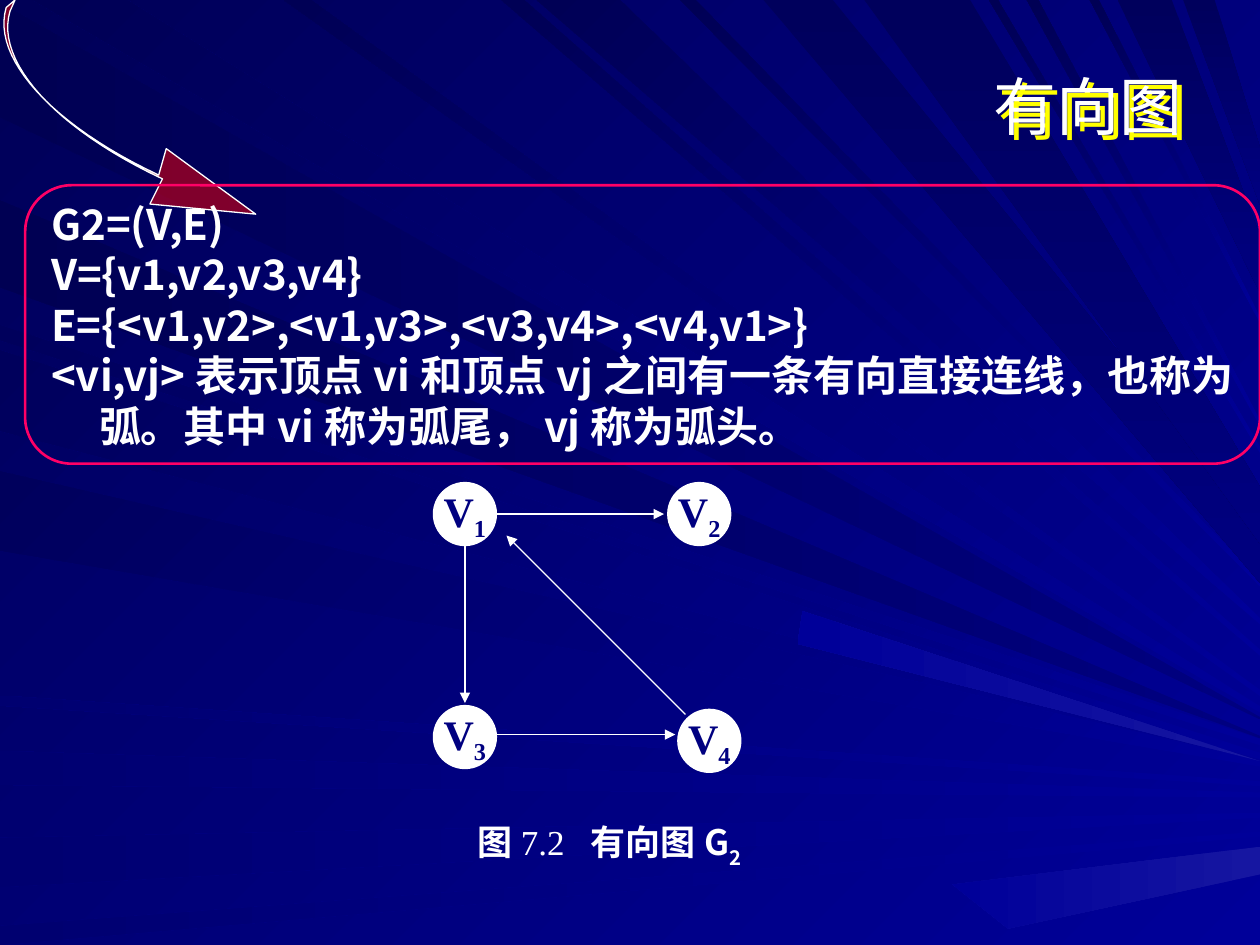
from lxml import etree
from pptx import Presentation, util as u
from pptx.dml.color import RGBColor
from pptx.enum import shapes, text
from pptx.oxml import ns

WIDTH, HEIGHT = 10, 7.5
WHITE, NAVY, BLUE, YELLOW, PINK, RED = "FFFFFF", "000080", "000099", "FFFF00", "FF0066", "FF0000"
SANS, SERIF, TITLE_FONT = "Noto Sans CJK SC", "Times New Roman", "Arial"

BACKDROP = (BLUE, "000057", 225)
RAY_GROUPS = [
    {"edge": "left", "paint": (NAVY, "000053", 180), "spread": 0.02,
     "rays": [(0.02, 0.93, 5.7), (1.59, 2.28, 5.85)]},
    {"edge": "left", "paint": (BLUE, "00005C", 225), "spread": 0.05,
     "rays": [(2.58, 2.7, 5.89), (2.78, 3.42, 6), (3.74, 4.37, 6.06)]},
    {"edge": "left", "paint": (BLUE, "000070", 180), "spread": 0.04,
     "rays": [(5.52, 5.6, 6.22), (5.96, 6.23, 6.31), (6.65, 7.04, 6.47), (7.35, 7.5, 6.62)]},
    {"edge": "top", "paint": (BLUE, "000055", 225), "spread": 0.05,
     "rays": [(0.26, 1.01, 5.63), (2.25, 2.47, 5.5), (3.98, 4.16, 5.18), (4.26, 4.92, 4.93),
              (5.4, 5.52, 4.63), (7.85, 7.92, 3.57), (8.15, 8.24, 3.36), (8.65, 8.72, 2.54)]},
    {"edge": "top", "paint": ("00005C", NAVY, 90), "spread": 0.45,
     "rays": [(6.06, 6.61, 4.4), (6.86, 7.7, 4.09), (8.87, 9.3, 2.1), (9.39, 9.64, 1.4)]},
]
GLOW = ("1616A1", BLUE, 180)
GLOWS = [[(6.37, 4.85), (6.33, 5.11), (10, 6.04)], [(7.56, 7.02), (10, 6.72), (10, 6.94), (8, 7.37)]]
ARROW_CURVE = [(0.08, 0.09), (-0.04, 0.49), (0.44, 1.02), (1.29, 1.42)]
ARROW_HEAD = [(1.19, 1.62), (2.03, 1.7), (1.32, 1.18)]
ARROW_START, ARROW_WIDTH = (0.12, 0), 0.03

TITLE = "有向图"
DEFINITION = [
    "G2=(V,E)",
    "V={v1,v2,v3,v4}",
    "E={<v1,v2>,<v1,v3>,<v3,v4>,<v4,v1>}",
    "<vi,vj>表示顶点vi和顶点vj之间有一条有向直接连线，也称为弧。其中vi称为弧尾，vj称为弧头。",
]
CAPTION = [("图", SERIF, True, 0), ("7.2\t", SERIF, False, 0), ("有向图G", SANS, True, 0), ("2", SANS, True, -30)]
NODE_SIZE = 0.5
NODES = {"1": (3.44, 3.83), "3": (3.44, 5.6), "2": (5.3, 3.83), "4": (5.38, 5.63)}
ARCS = [((3.94, 4.08), (5.27, 4.08)), ((3.69, 4.33), (3.69, 5.58)),
        ((3.94, 5.83), (5.36, 5.83)), ((5.44, 5.67), (4.02, 4.25))]


def color(value):
    return RGBColor.from_string(value)


def add_node(parent, tag, **attributes):
    return etree.SubElement(parent, ns.qn(tag), attributes)


def inches(*values):
    return [u.Inches(value) for value in values]


def paint_gradient(fill, start, end, angle):
    fill.gradient()
    fill.gradient_angle = (360 - angle) % 360
    for stop, value in zip(fill.gradient_stops, (start, end)):
        stop.color.rgb = color(value)


def add_polygon(page, points):
    corners = [tuple(inches(*point)) for point in points]
    builder = page.shapes.build_freeform(*corners[0], scale=1.0)
    builder.add_line_segments(corners[1:], close=True)
    polygon = builder.convert_to_shape()
    polygon.shadow.inherit = False
    return polygon


def add_ray(page, points, paint):
    ray = add_polygon(page, points)
    ray.line.fill.background()
    paint_gradient(ray.fill, *paint)


def bezier(points, steps=24):
    curve = []
    for step in range(steps + 1):
        t = step / steps
        weights = ((1 - t) ** 3, 3 * t * (1 - t) ** 2, 3 * t * t * (1 - t), t ** 3)
        curve.append(tuple(sum(w * p[axis] for w, p in zip(weights, points)) for axis in (0, 1)))
    return curve


def add_span(para, words, size, face, tint=WHITE, bold=False, baseline=0):
    span = para.add_run()
    span.text = words
    span.font.size, span.font.name, span.font.bold = u.Pt(size), face, bold
    span.font.color.rgb = color(tint)
    properties = span._r.get_or_add_rPr()
    add_node(properties, "a:ea", typeface=SANS)
    if baseline:
        properties.set("baseline", str(baseline * 1000))


def set_outline(shape, tint, width):
    shape.line.color.rgb = color(tint)
    shape.line.width = u.Pt(width)


def add_backdrop(page):
    paint_gradient(page.background.fill, *BACKDROP)
    for group in RAY_GROUPS:
        half = group["spread"] / 2
        for near, far, target in group["rays"]:
            base = [(0, far), (0, near)] if group["edge"] == "left" else [(near, 0), (far, 0)]
            add_ray(page, base + [(WIDTH, target - half), (WIDTH, target + half)], group["paint"])
    for points in GLOWS:
        add_ray(page, points, GLOW)


def add_arrow(page):
    outer = bezier(ARROW_CURVE)
    inner = [(x - ARROW_WIDTH, y - ARROW_WIDTH) for x, y in reversed(outer)]
    arrow = add_polygon(page, [ARROW_START] + outer + ARROW_HEAD + inner)
    arrow.fill.solid()
    arrow.fill.fore_color.rgb = color(RED)
    tint = arrow._element.spPr.find(ns.qn("a:solidFill")).find(ns.qn("a:srgbClr"))
    add_node(tint, "a:alpha", val="50000")
    set_outline(arrow, WHITE, 0.75)


def add_title(page):
    box = page.shapes.add_textbox(*inches(0.8, 0.21, 8.68, 1.25))
    effects = add_node(box._element.spPr, "a:effectLst")
    shadow = add_node(effects, "a:outerShdw", dist=str(u.Inches(0.06)), dir="2700000", algn="ctr")
    add_node(shadow, "a:srgbClr", val=YELLOW)
    box.text_frame.word_wrap = True
    box.text_frame.vertical_anchor = text.MSO_ANCHOR.MIDDLE
    para = box.text_frame.paragraphs[0]
    para.alignment = text.PP_ALIGN.RIGHT
    add_span(para, TITLE, 36, TITLE_FONT)


def add_definition(page):
    panel = page.shapes.add_shape(shapes.MSO_SHAPE.ROUNDED_RECTANGLE, *inches(0.2, 1.47, 9.8, 2.21))
    panel.shadow.inherit = False
    panel.fill.background()
    set_outline(panel, PINK, 1.5)
    frame = panel.text_frame
    frame.word_wrap, frame.vertical_anchor = True, text.MSO_ANCHOR.MIDDLE
    for index, line in enumerate(DEFINITION):
        para = frame.add_paragraph() if index else frame.paragraphs[0]
        para.alignment, para.line_spacing = text.PP_ALIGN.LEFT, u.Pt(28.8)
        properties = para._p.get_or_add_pPr()
        properties.set("marL", str(u.Inches(0.38)))
        properties.set("indent", str(-u.Inches(0.38)))
        add_span(para, line, 24, SANS, bold=True)


def add_caption(page):
    box = page.shapes.add_textbox(*inches(3.69, 6.46, 3.05, 0.54))
    box.text_frame.word_wrap = True
    para = box.text_frame.paragraphs[0]
    stops = add_node(para._p.get_or_add_pPr(), "a:tabLst")
    add_node(stops, "a:tab", pos=str(u.Inches(0.9)), algn="l")
    for words, face, bold, baseline in CAPTION:
        add_span(para, words, 20, face, bold=bold, baseline=baseline)


def add_graph(page):
    for number, (left, top) in NODES.items():
        node = page.shapes.add_shape(shapes.MSO_SHAPE.OVAL, *inches(left, top, NODE_SIZE, NODE_SIZE))
        node.shadow.inherit = False
        node.fill.solid()
        node.fill.fore_color.rgb = color(WHITE)
        set_outline(node, WHITE, 0.75)
        node.text_frame.word_wrap = False
        node.text_frame.vertical_anchor = text.MSO_ANCHOR.MIDDLE
        para = node.text_frame.paragraphs[0]
        para.alignment = text.PP_ALIGN.CENTER
        add_span(para, "V", 24, SERIF, NAVY, True)
        add_span(para, number, 24, SERIF, NAVY, True, -25)
    for start, end in ARCS:
        arc = page.shapes.add_connector(shapes.MSO_CONNECTOR.STRAIGHT, *inches(*start, *end))
        set_outline(arc, WHITE, 0.75)
        add_node(arc.line._get_or_add_ln(), "a:tailEnd", type="triangle")
        add_node(arc._element.spPr, "a:effectLst")


def main():
    """Build the directed graph slide."""
    deck = Presentation()
    deck.slide_width, deck.slide_height = inches(WIDTH, HEIGHT)
    page = deck.slides.add_slide(deck.slide_layouts[6])
    for add_part in (add_backdrop, add_arrow, add_title, add_definition, add_caption, add_graph):
        add_part(page)
    deck.save("out.pptx")


if __name__ == "__main__":
    main()
